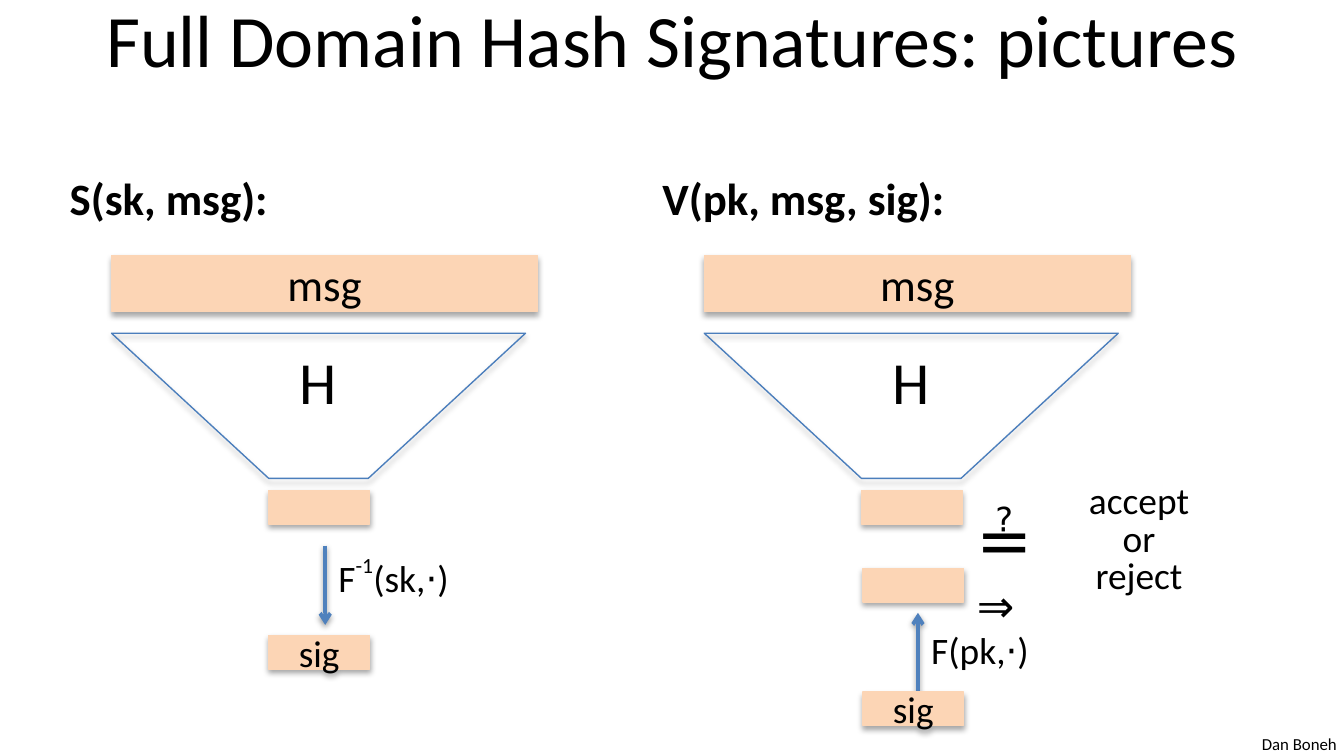
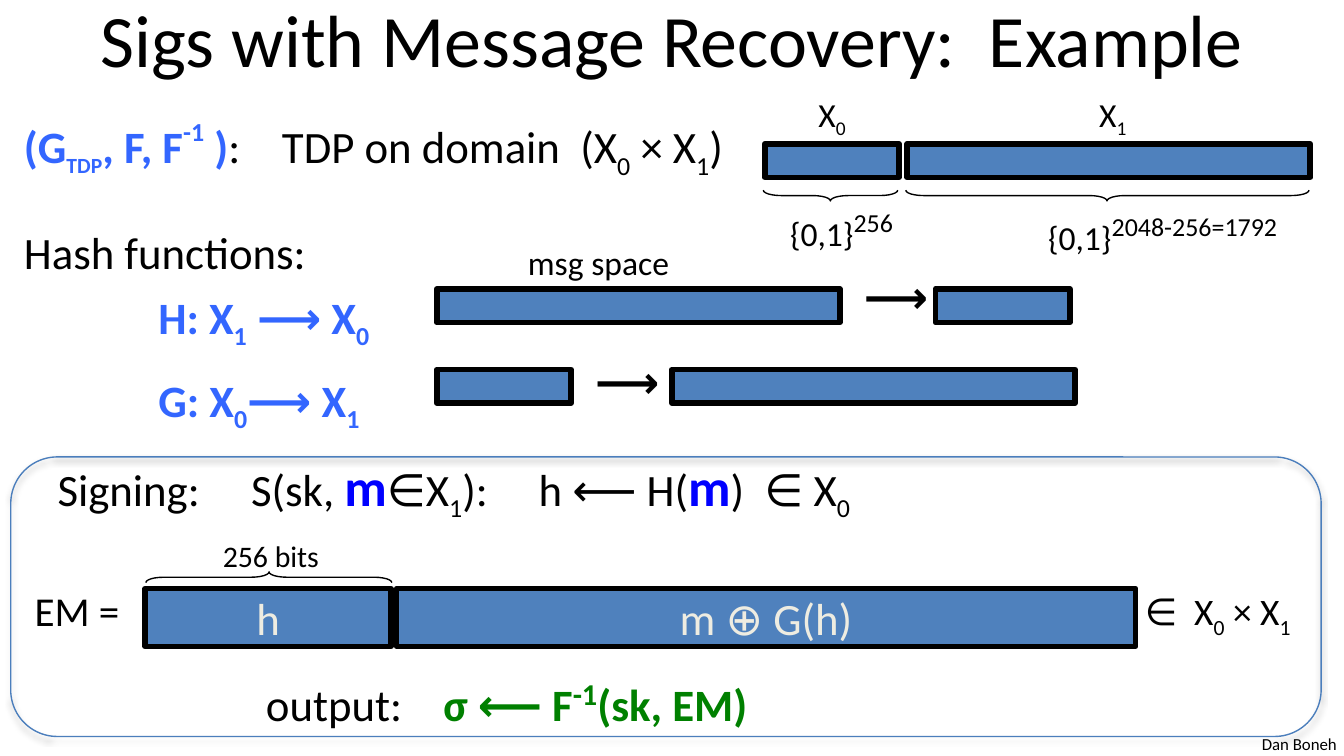
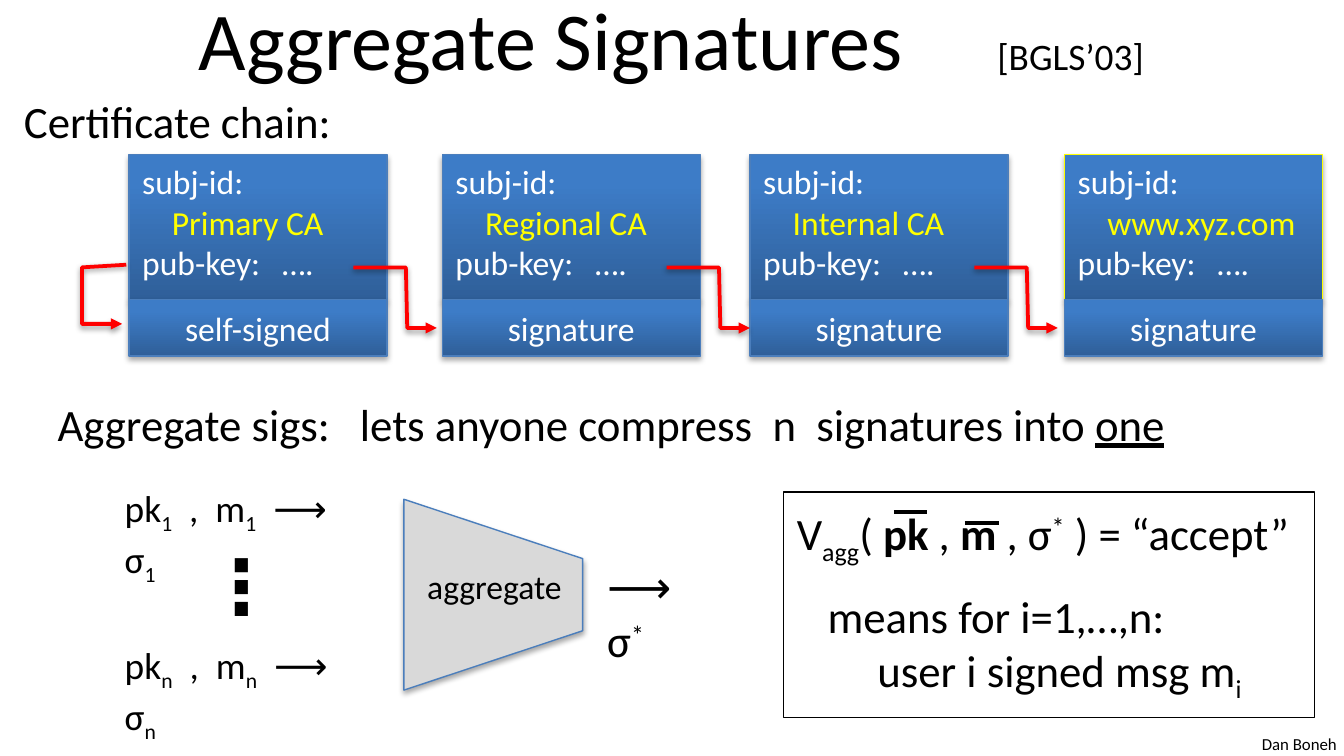
import dataclasses

import lxml.etree
import pptx
import pptx.dml.color
import pptx.enum.shapes
import pptx.enum.text
import pptx.oxml.ns
import pptx.util

SHAPE = pptx.enum.shapes.MSO_SHAPE
ALIGN = pptx.enum.text.PP_ALIGN
ANCHOR = pptx.enum.text.MSO_ANCHOR
FIT = pptx.enum.text.MSO_AUTO_SIZE
Pt = pptx.util.Pt
qn = pptx.oxml.ns.qn


@dataclasses.dataclass(frozen=True)
class Theme:
    font: str = "Calibri"
    black: str = "000000"
    white: str = "FFFFFF"
    peach: str = "FCD5B5"
    blue: str = "4F81BD"
    outline: str = "4B7EBC"
    cream: str = "EEECE1"
    grey: str = "D9D9D9"
    term: str = "3366FF"
    message: str = "0000FF"
    result: str = "008000"
    subject: str = "FFFF00"
    hop: str = "FF0000"
    card_low: str = "2F5F99"
    card_high: str = "3D7CC7"
    title: float = 39.6
    big: int = 32
    strong: int = 28
    body: int = 24
    label: int = 20
    small: int = 18
    footer: int = 9


T = Theme()
COLUMNS, ROWS = 100, 56.25
SHADOW = (35, 1.8)
ARROW_SHADOW = (38, 1.6)


def cell(n):
    """Length of n grid columns or rows; both are a tenth of an inch."""
    return pptx.util.Inches(n / 10)


def rgb(color):
    return pptx.dml.color.RGBColor.from_string(color)


def run(text, **fmt):
    return text, fmt


def sub(text, **fmt):
    return run(text, base=-25, **fmt)


def sup(text, base=30, **fmt):
    return run(text, base=base, **fmt)


def para(*runs, **fmt):
    return runs, fmt


def add_run(p, text, size=T.body, color=T.black, bold=False, underline=False, base=0):
    r = p.add_run()
    r.text = text
    r.font.name, r.font.size = T.font, Pt(size)
    r.font.bold, r.font.underline = bold, underline
    r.font.color.rgb = rgb(color)
    if base:
        r.font._element.set("baseline", str(base * 1000))


def set_layout(p, align=ALIGN.LEFT, before=0, spacing=None, indent=0, tabs=()):
    pPr = p._p.get_or_add_pPr()
    if indent:
        pPr.set("marL", str(cell(indent)))
        pPr.set("indent", "0")
    if tabs:
        tab_list = lxml.etree.SubElement(pPr, qn("a:tabLst"))
        for pos in tabs:
            lxml.etree.SubElement(tab_list, qn("a:tab"), pos=str(cell(pos)), algn="l")
    p.alignment = align
    if before:
        p.space_before = Pt(before)
    if spacing:
        p.line_spacing = spacing


def write(sp, *paras, align=ALIGN.LEFT, anchor=ANCHOR.TOP, wrap=True, fit=FIT.NONE, **fmt):
    """Fill a shape; each paragraph is a string or para(), each run a string or run()."""
    tf = sp.text_frame
    tf.word_wrap, tf.auto_size, tf.vertical_anchor = wrap, fit, anchor
    for i, item in enumerate(paras):
        runs, layout = ((item,), {}) if isinstance(item, str) else item
        p = tf.paragraphs[0] if i == 0 else tf.add_paragraph()
        set_layout(p, **{"align": align, **layout})
        for part in runs:
            text, own = (part, {}) if isinstance(part, str) else part
            add_run(p, text, **{**fmt, **own})
    return sp


def centre(sp, text, **fmt):
    return write(sp, text, align=ALIGN.CENTER, anchor=ANCHOR.MIDDLE, **fmt)


def add_text(s, at, *paras, wrap=False, **fmt):
    sp = s.shapes.add_textbox(*map(cell, at))
    fit = FIT.NONE if wrap else FIT.SHAPE_TO_FIT_TEXT
    return write(sp, *paras, wrap=wrap, fit=fit, **fmt)


def stroke(sp, color, width=0.75, shadow=None, head=None):
    """Set line, arrowhead and shadow, given as opacity and distance."""
    sp.line.color.rgb, sp.line.width = rgb(color), Pt(width)
    spPr = sp._element.spPr
    if head:
        lxml.etree.SubElement(spPr.find(qn("a:ln")), qn("a:tailEnd"), type=head)
    effects = lxml.etree.SubElement(spPr, qn("a:effectLst"))
    if shadow:
        opacity, dist = shadow
        outer = lxml.etree.SubElement(
            effects, qn("a:outerShdw"), blurRad=str(Pt(3.1)), dist=str(Pt(dist)),
            dir="5400000", rotWithShape="0")
        clr = lxml.etree.SubElement(outer, qn("a:srgbClr"), val=T.black)
        lxml.etree.SubElement(clr, qn("a:alpha"), val=str(opacity * 1000))


def add_shape(s, kind, at, fill=None, line=T.outline, width=0.75, shadow=None,
              adj=(), rotation=0):
    sp = s.shapes.add_shape(kind, *map(cell, at))
    for i, value in enumerate(adj):
        sp.adjustments[i] = value
    sp.rotation = rotation
    if fill:
        sp.fill.solid()
        sp.fill.fore_color.rgb = rgb(fill)
    else:
        sp.fill.background()
    stroke(sp, line, width, shadow)
    return sp


def add_line(s, start, end, color, head=None, shadow=None):
    cx = s.shapes.add_connector(
        pptx.enum.shapes.MSO_CONNECTOR.STRAIGHT, *map(cell, start + end))
    stroke(cx, color, 2, shadow, head)


def add_hop(s, *points):
    (x, y), *rest = [tuple(map(cell, point)) for point in points]
    builder = s.shapes.build_freeform(x, y)
    builder.add_line_segments(rest, close=False)
    sp = builder.convert_to_shape()
    sp.fill.background()
    stroke(sp, T.hop, 2, ARROW_SHADOW, "triangle")


def add_slide(prs, *title, size=T.title, align=ALIGN.CENTER, inset=1, tabs=()):
    s = prs.slides.add_slide(prs.slide_layouts[5])
    sp = s.shapes.title
    sp.left, sp.top, sp.width, sp.height = map(cell, (5, -1.9, 90, 9.4))
    write(sp, para(*title, tabs=tabs), size=size, align=align, anchor=ANCHOR.MIDDLE)
    sp.text_frame.margin_left = cell(inset)
    add_text(s, (92.9, 54.1, 7.6, 2.5), "Dan Boneh", size=T.footer)
    return s


# Hash signatures

def peach_box(s, at, text=None, size=T.label):
    sp = add_shape(s, SHAPE.RECTANGLE, at, T.peach, T.peach, shadow=SHADOW)
    if text:
        centre(sp, text, size=size)


def digest_box(s, left, top, text=None):
    peach_box(s, (left, top, 7.5, 2.5), text)


def hash_column(s, left, heading, heading_width):
    """Heading, message, hash funnel and digest."""
    add_text(s, (left, 12.2, heading_width, 5), heading, bold=True)
    peach_box(s, (left + 4.1, 19, 31.7, 4.2), "msg", T.body)
    funnel = add_shape(s, SHAPE.TRAPEZOID, (left + 4.1, 24.8, 30.8, 10.8),
                       shadow=SHADOW, adj=[1.083])
    funnel._element.spPr.find(qn("a:xfrm")).set("flipV", "1")
    centre(s.shapes.add_textbox(*map(cell, (left + 14.5, 25, 10, 6.6))), "H", size=T.big)
    digest_box(s, left + 15.8, 36.5)


def hash_slide(prs):
    s = add_slide(prs, "Full Domain Hash Signatures: pictures")
    sign, verify = 4.2, 48.3
    hash_column(s, sign, "S(sk, msg):", 16.9)
    add_line(s, (24.2, 40.6), (24.2, 46.5), T.blue, "arrow", ARROW_SHADOW)
    add_text(s, (24.2, 40.6, 11, 4.4), para("F", sup("-1", 50), "(sk,⋅)"), size=T.label)
    digest_box(s, sign + 15.8, 47.3, "sig")

    hash_column(s, verify, "V(pk, msg, sig):", 23.2)
    add_line(s, (68.3, 52.1), (68.3, 45.6), T.blue, "arrow", ARROW_SHADOW)
    add_text(s, (68.3, 46.2, 9.9, 4.4), "F(pk,⋅)", size=T.label)
    digest_box(s, verify + 15.9, 42.3)
    digest_box(s, verify + 15.9, 51.5, "sig")
    add_text(s, (71.7, 36.5, 10.2, 7.1), para(run("≟  ", size=36), "⇒"))
    add_text(s, (80, 35.6, 9.5, 9.5),
             *[para(word, spacing=Pt(20)) for word in ("accept", "or", "reject")],
             size=T.label, align=ALIGN.CENTER)


# Message recovery

def bar(s, left, top, width, height=2.5, text=None):
    sp = add_shape(s, SHAPE.RECTANGLE, (left, top, width, height), T.blue, T.black, 3)
    if text:
        centre(sp, text, color=T.cream, wrap=False)


def brace(s, centre_x, centre_y, span, rotation):
    add_shape(s, SHAPE.LEFT_BRACE, (centre_x - 0.4, centre_y - span / 2, 0.8, span),
              line=T.black, adj=[1.639, 0.499], rotation=rotation)


def domain_part(s, left, width, index, label_left, size_left, size_top, size_width, bits):
    """One half of the domain: name, bar, brace and bit length."""
    add_text(s, (label_left, 6.5, 4.2, 4), para("X", sub(index)), size=T.small)
    bar(s, left, 10.7, width)
    brace(s, left + width / 2 - 0.1, 14.55, width, 270)
    add_text(s, (size_left, size_top, size_width, 4),
             para("{0,1}", sup(bits, size=T.body)), size=T.small)


def recovery_slide(prs):
    s = add_slide(prs, "Sigs with Message Recovery:  Example")
    term = {"color": T.term, "bold": True}
    add_text(
        s, (0.8, 8.1, 95, 24.2),
        para(run("(G", **term), sub("TDP", size=T.label, **term), run(", F, F", **term),
             sup("-1", 50, **term), run(" )", **term), ":\tTDP on domain  (X", sub("0"),
             " × X", sub("1"), ")", tabs=[19.2]),
        para("Hash functions:", before=23.8),
        para(run("H: X", **term), sub("1", **term), run(" ⟶ X", **term),
             sub("0", **term), before=5.8, indent=10),
        para(run("G: X", **term), sub("0", **term), run("⟶ X", **term),
             sub("1", **term), before=11.8, indent=10),
        wrap=True)
    short, long = 10, 30
    domain_part(s, 56.9, short, "0", 59.9, 57.8, 14.5, 10.2, "256")
    domain_part(s, 67.5, long, "1", 80.8, 77, 14.8, 21.1, "2048-256=1792")

    add_text(s, (38.3, 17.5, 12.6, 4), "msg space", size=T.small)
    for top, first, arrow, second_left, second in (
            (21.5, long, (63.3, 19.5), 69.6, short),
            (27.5, short, (43.3, 25.8), 50, long)):
        bar(s, 32.5, top, first)
        bar(s, second_left, top, second)
        add_text(s, (*arrow, 6, 5), "⟶", bold=True)

    message = {"size": T.strong, "color": T.message, "bold": True}
    result = {"color": T.result, "bold": True}
    add_text(s, (3.3, 33.3, 61.3, 5.7),
             para("Signing:\tS(sk, ", run("m", **message), "∈X", sub("1"), "):\th ⟵ H(",
                  run("m", **message), ")  ∈ X", sub("0"), tabs=[14.4, 35.8]))
    add_text(s, (15.6, 39.5, 9.3, 3.7), "256 bits", size=16)
    brace(s, 20, 42.95, 18.3, 90)
    add_text(s, (1.6, 43.1, 8.4, 4.7), "EM =", size=22)
    bar(s, 29.5, 43.8, 55, 4.3, "m ⊕ G(h)")
    bar(s, 10.8, 43.8, 18.3, 4.3, "h")
    add_text(s, (84.2, 43.3, 13.6, 4.4),
             para("∈  X", sub("0"), " × X", sub("1")), size=T.label)
    add_text(s, (18.8, 47.9, 37.9, 6.1),
             para("output:\t", run("σ ⟵ F", **result),
                  sup("-1", **{**result, "size": T.strong}), run("(sk, EM)", **result),
                  spacing=1.3, tabs=[13.2]))
    add_shape(s, SHAPE.ROUNDED_RECTANGLE, (0.8, 34, 97.5, 20.8), shadow=SHADOW)


# Aggregate signatures

def card_part(s, at, line=T.outline):
    sp = add_shape(s, SHAPE.RECTANGLE, at, line=line, shadow=SHADOW)
    sp.fill.gradient()
    sp.fill.gradient_angle = 90
    low, high = sp.fill.gradient_stops
    low.color.rgb, high.color.rgb = rgb(T.card_low), rgb(T.card_high)
    low.position, high.position = 0, 0.8
    return sp


def certificate(s, left, subject, signature="signature", line=T.outline):
    write(card_part(s, (left, 11.5, 19.2, 10.8), line),
          "subj-id:",
          para(run(subject, color=T.subject), indent=2.2),
          para("pub-key:\t….", tabs=[10.4]),
          size=T.small, color=T.white)
    centre(card_part(s, (left, 22.3, 19.2, 4.2)), signature, size=T.small, color=T.white)


def signer(s, left, top, index):
    add_text(s, (left, top, 20.4, 4.4),
             para("pk", sub(index), "  ,  m", sub(index), "  ⟶  σ", sub(index)),
             size=T.label)


def aggregate_slide(prs):
    s = add_slide(prs, "Aggregate Signatures\t", run("[BGLS’03]", size=T.label),
                  size=44, align=ALIGN.LEFT, inset=9.8, tabs=[59.4])
    add_text(s, (0.8, 6.5, 29.2, 6.7), "Certificate chain:", wrap=True)
    lefts = (9.6, 32.9, 55.8, 79.2)
    certificate(s, lefts[0], "Primary CA", "self-signed")
    certificate(s, lefts[1], "Regional CA")
    certificate(s, lefts[2], "Internal CA")
    certificate(s, lefts[3], "www.xyz.com", line=T.subject)
    add_hop(s, (9.4, 19.7), (6.1, 19.9), (6.1, 24.1), (9.1, 24.1))
    for left in lefts[:-1]:
        add_hop(s, (left + 16.7, 19.9), (left + 20.6, 19.9),
                (left + 20.7, 24.4), (left + 22.9, 24.4))

    add_text(s, (3.3, 29, 93.3, 6.7),
             para("Aggregate sigs:\tlets anyone compress  n  signatures into ",
                  run("one", underline=True), tabs=[22.5]), wrap=True)
    signer(s, 8.3, 35.6, "1")
    signer(s, 8.3, 47.3, "n")
    add_text(s, (14.2, 39.6, 4.8, 7.7), "⋮", size=40, bold=True)
    add_shape(s, SHAPE.TRAPEZOID, (29.6, 37.6, 14.2, 13.3), T.grey, shadow=SHADOW,
              adj=[0.332], rotation=90)
    add_text(s, (30.8, 41.6, 12.2, 4), "aggregate", size=T.small)
    add_text(s, (44.2, 41.1, 9.7, 5), para("⟶ σ", sup("*")))

    rule = add_shape(s, SHAPE.RECTANGLE, (58.3, 36.6, 39.5, 16.8), line=T.black)
    write(rule,
          para("V", sub("agg"), "( ", run("pk", bold=True), " , ", run("m", bold=True),
               " , σ", sup("*"), " ) = “accept”"),
          para("means for i=1,…,n:", before=12, indent=2.3),
          para("user i signed msg m", sub("i"), indent=6))
    rule.text_frame.margin_top = cell(1)
    for left, top in ((66.5, 38.1), (71.8, 38.9)):
        add_line(s, (left, top), (left + 2.5, top), T.black)


def main():
    prs = pptx.Presentation()
    prs.slide_width, prs.slide_height = cell(COLUMNS), cell(ROWS)
    hash_slide(prs)
    recovery_slide(prs)
    aggregate_slide(prs)
    prs.save("out.pptx")


if __name__ == "__main__":
    main()
